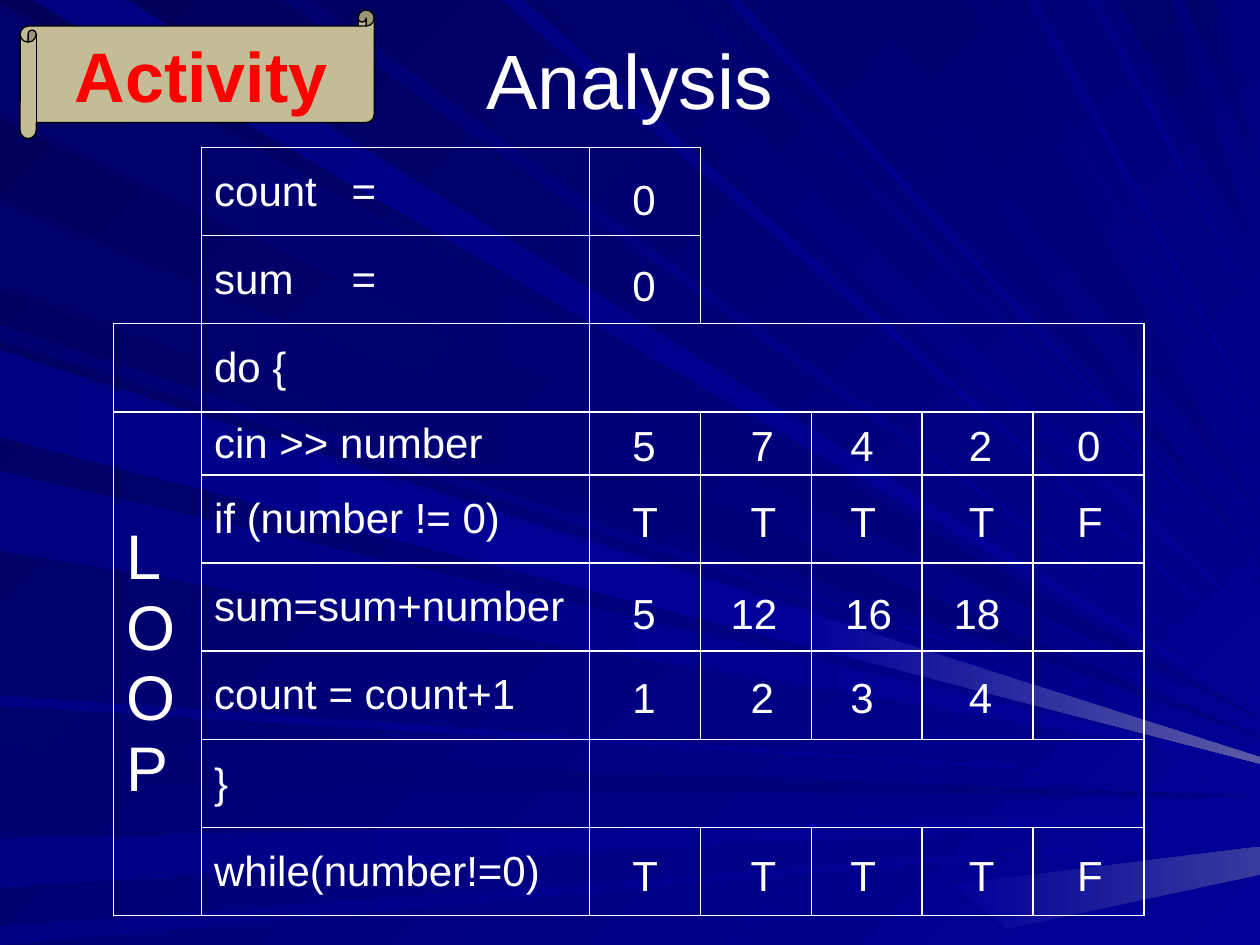
from typing import NamedTuple, Optional

from lxml import etree
from pptx import Presentation
from pptx import util as u
from pptx.dml.color import RGBColor
from pptx.enum import shapes, text
from pptx.oxml.ns import qn

COLORS = {
    "night": "000058", "deep": "00006B", "dusk": "000073", "blue": "000085",
    "navy": "000080", "royal": "000099", "haze": "5A5AA6", "mist": "39399E",
    "white": "FFFFFF", "black": "000000", "red": "FF0000", "parchment": "C4BC96",
}
FONT = "Arial"
COLUMN_WIDTHS = [0.7, 3.08] + [0.88] * 5
ROW_HEIGHTS = [0.7] * 3 + [0.5] + [0.7] * 5
STATEMENTS = [
    "count\t=", "sum\t=", "do {", "cin >> number", "if (number != 0)",
    "sum=sum+number", "count = count+1", "}", "while(number!=0)",
]
PASS_LEFTS = (4.92, 5.86, 6.65, 7.59, 8.45)
SUM_LEFTS = (4.92, 5.7, 6.61, 7.47)


class Ray(NamedTuple):
    near: float
    far: float
    tip: float
    start: str
    end: str = "royal"


class Trace(NamedTuple):
    top: float
    values: str
    lefts: tuple = PASS_LEFTS


LEFT_RAYS = [
    Ray(0.02, 0.93, 5.7, "deep", "navy"),
    Ray(5.96, 6.23, 6.32, "dusk", "navy"),
    Ray(6.65, 7.04, 6.47, "blue"),
    Ray(7.35, 7.5, 6.62, "blue"),
    Ray(2.58, 2.7, 5.89, "dusk"),
    Ray(1.59, 2.28, 5.85, "deep", "navy"),
    Ray(2.78, 3.42, 6, "navy"),
    Ray(3.74, 4.37, 6.05, "navy"),
    Ray(5.52, 5.6, 6.22, "blue"),
]
TOP_RAYS = [
    Ray(0.26, 1.01, 5.63, "navy"),
    Ray(2.25, 2.47, 5.5, "dusk"),
    Ray(3.98, 4.16, 5.2, "blue"),
    Ray(4.26, 4.92, 4.95, "deep"),
    Ray(5.4, 5.52, 4.63, "dusk"),
    Ray(5.77, 5.88, 4.54, "blue"),
    Ray(6.06, 6.61, 4.45, "dusk", "navy"),
    Ray(6.86, 7.7, 4.1, "dusk", "navy"),
    Ray(7.85, 7.92, 3.57, "dusk"),
    Ray(8.15, 8.24, 3.35, "blue"),
    Ray(8.65, 8.72, 2.53, "blue"),
    Ray(8.87, 9.3, 2.1, "deep", "navy"),
    Ray(9.39, 9.64, 1.4, "deep", "navy"),
]
TRACES = [
    Trace(1.33, "0"),
    Trace(2.01, "0"),
    Trace(3.28, "5 7 4 2 0"),
    Trace(3.88, "T T T T F"),
    Trace(4.61, "5 12 16 18", SUM_LEFTS),
    Trace(5.28, "1 2 3 4"),
    Trace(6.69, "T T T T F"),
]


def inch(value: float) -> u.Length:
    return u.Cm(value * 2.54)


def color(name: str) -> RGBColor:
    return RGBColor.from_string(COLORS[name])


def paint(fill, start: str, end: str, angle: int) -> None:
    fill.gradient()
    fill.gradient_angle = -angle % 360
    for stop, name in zip(fill.gradient_stops, (start, end)):
        stop.color.rgb = color(name)


def draw_beam(page, points: list, start: str, end: str, angle: int) -> None:
    first, *rest = [(inch(x), inch(y)) for x, y in points]
    builder = page.shapes.build_freeform(*first)
    builder.add_line_segments(rest, close=True)
    shape = builder.convert_to_shape()
    shape.shadow.inherit = False
    paint(shape.fill, start, end, angle)
    shape.line.fill.background()


def draw_rays(page) -> None:
    for ray in LEFT_RAYS:
        draw_beam(page, [(0, ray.near), (10, ray.tip), (0, ray.far)], ray.start, ray.end, 0)
    for ray in TOP_RAYS:
        draw_beam(page, [(ray.near, 0), (10, ray.tip), (ray.far, 0)], ray.start, ray.end, 45)
    draw_beam(page, [(0, 2.83), (0, 3.47), (6.33, 5.11), (6.37, 4.85)], "blue", "royal", 0)
    draw_beam(page, [(6.37, 4.85), (6.33, 5.11), (10, 6.06), (10, 6.01)], "royal", "haze", 0)
    draw_beam(page, [(10, 6.94), (10, 6.72), (7.56, 7.02), (8, 7.37)], "royal", "mist", 0)


def style(para, size: int, name: str = "white", bold: bool = False) -> None:
    font = para.font
    font.name, font.size, font.bold = FONT, u.Pt(size), bold
    font.color.rgb = color(name)


def write_box(page, words: str, left: float, top: float, width: float, height: float,
              size: int, align: Optional[text.PP_ALIGN] = None) -> None:
    box = page.shapes.add_textbox(*map(inch, (left, top, width, height)))
    frame = box.text_frame
    frame.word_wrap = align is not None
    frame.vertical_anchor = text.MSO_ANCHOR.MIDDLE if align else text.MSO_ANCHOR.TOP
    para = frame.paragraphs[0]
    para.text, para.alignment = words, align
    style(para, size)


def is_ruled(row: int, column: int) -> bool:
    return row >= 2 or column in (1, 2)


def rule_cell(cell, row: int, column: int) -> None:
    cell.fill.background()
    neighbours = {"lnL": (row, column - 1), "lnR": (row, column + 1),
                  "lnT": (row - 1, column), "lnB": (row + 1, column)}
    properties = cell._tc.get_or_add_tcPr()
    for index, (edge, neighbour) in enumerate(neighbours.items()):
        line = etree.Element(qn("a:" + edge), w=str(u.Pt(1)))
        if is_ruled(row, column) or is_ruled(*neighbour):
            fill = etree.SubElement(line, qn("a:solidFill"))
            etree.SubElement(fill, qn("a:srgbClr"), val=COLORS["white"])
        else:
            etree.SubElement(line, qn("a:noFill"))
        properties.insert(index, line)


def write_cell(cell, words: str, size: int) -> None:
    cell.vertical_anchor = text.MSO_ANCHOR.MIDDLE
    cell.text_frame.text = words
    for para in cell.text_frame.paragraphs:
        if "\t" in words:
            tabs = etree.SubElement(para._p.get_or_add_pPr(), qn("a:tabLst"))
            etree.SubElement(tabs, qn("a:tab"), pos=str(inch(1.09)), algn="l")
        style(para, size)


def draw_table(page) -> None:
    table = page.shapes.add_table(len(ROW_HEIGHTS), len(COLUMN_WIDTHS), inch(0.9), inch(1.17),
                                  inch(sum(COLUMN_WIDTHS)), inch(sum(ROW_HEIGHTS))).table
    table.first_row = table.horz_banding = False
    for column, width in zip(table.columns, COLUMN_WIDTHS):
        column.width = inch(width)
    for index, (height, statement) in enumerate(zip(ROW_HEIGHTS, STATEMENTS)):
        table.rows[index].height = inch(height)
        for column in range(len(COLUMN_WIDTHS)):
            rule_cell(table.cell(index, column), index, column)
        write_cell(table.cell(index, 1), statement, 24)
    for row in (2, 7):
        table.cell(row, 2).merge(table.cell(row, 6))
    table.cell(3, 0).merge(table.cell(8, 0))
    write_cell(table.cell(3, 0), "\n".join("LOOP"), 36)


def draw_scroll(page) -> None:
    scroll = page.shapes.add_shape(shapes.MSO_SHAPE.HORIZONTAL_SCROLL,
                                   *map(inch, (0.16, 0.08, 2.81, 1.02)))
    scroll.shadow.inherit = False
    scroll.fill.solid()
    scroll.fill.fore_color.rgb = color("parchment")
    scroll.line.color.rgb = color("black")
    scroll.line.width = u.Pt(0.75)
    scroll.text_frame.vertical_anchor = text.MSO_ANCHOR.TOP
    para = scroll.text_frame.paragraphs[0]
    para.text, para.alignment, para.space_after = "Activity", text.PP_ALIGN.CENTER, u.Pt(10)
    style(para, 40, "red", True)


def main() -> None:
    deck = Presentation()
    deck.slide_width, deck.slide_height = inch(10), inch(7.5)
    page = deck.slides.add_slide(deck.slide_layouts[6])
    paint(page.background.fill, "night", "royal", 45)
    draw_rays(page)
    write_box(page, "Analysis", 0.5, 0, 9, 1.25, 44, text.PP_ALIGN.CENTER)
    draw_table(page)
    for trace in TRACES:
        for left, value in zip(trace.lefts, trace.values.split()):
            write_box(page, value, left, trace.top, 0.39 if len(value) == 1 else 0.57, 0.5, 24)
    draw_scroll(page)
    deck.save("out.pptx")


if __name__ == "__main__":
    main()
